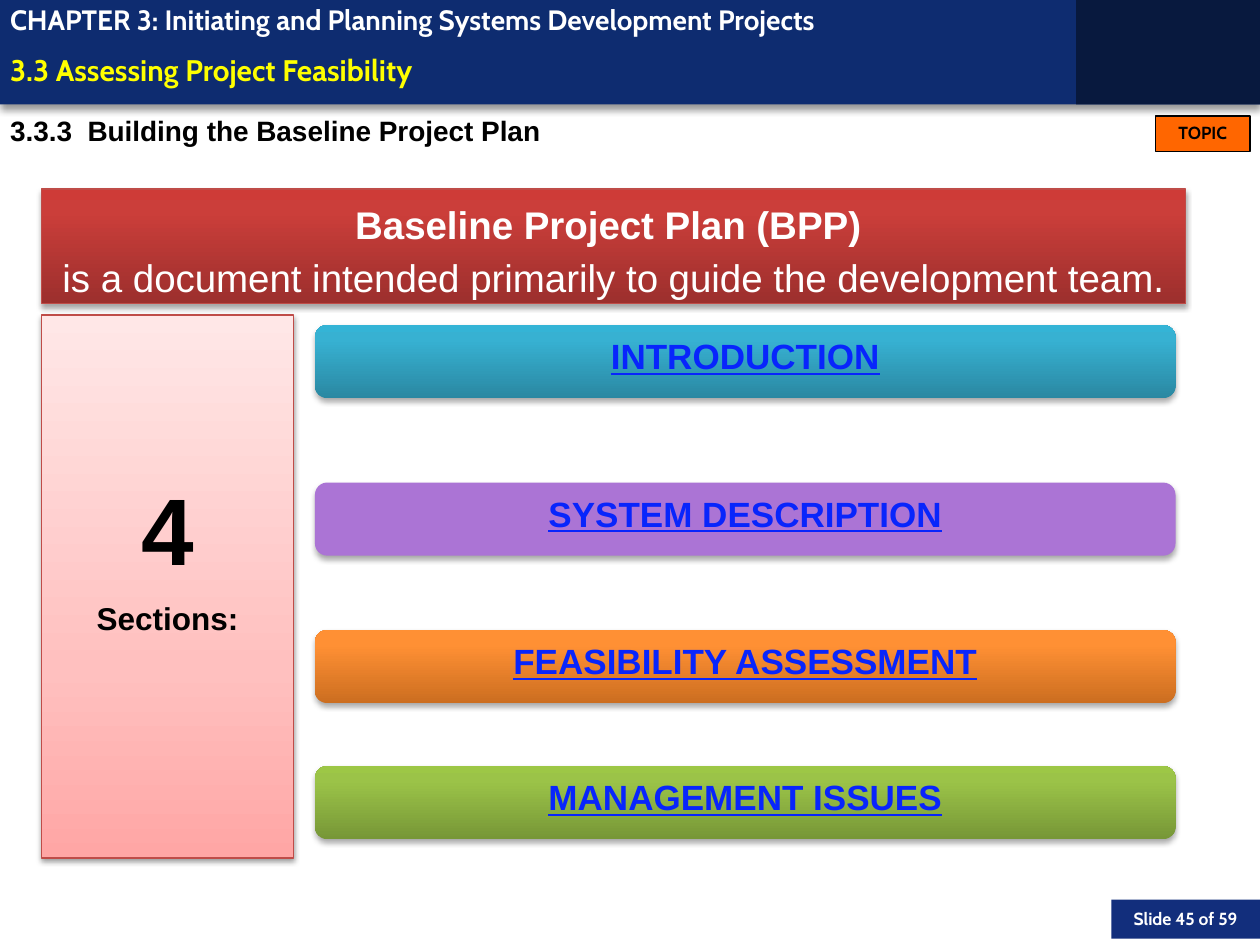
from lxml import etree
from pptx import Presentation, util as u
from pptx.dml.color import RGBColor
from pptx.enum import shapes, text
from pptx.oxml.ns import qn

THEME = dict(
    head="Cabin", body="Arial", navy="0E2C70", dark="08193E", foot="122E7C",
    white="FFFFFF", black="000000", gold="FFFF00", tag="FF6600",
    edge="BF4C48", link="0825FC",
    red=((0, "9C2F2D"), (80, "CB3E3A"), (100, "CE3B37")),
    pink=((0, "FFA6A5"), (35, "FFC0BF"), (100, "FFE7E7")),
    blue=((0, "2A88A2"), (80, "37B1D2"), (100, "34B4D6")),
    plum="AB74D5",
    rust=((0, "CC6E20"), (80, "FF9034"), (100, "FF9136")),
    green=((0, "779737"), (80, "9BC348"), (100, "9DC746")),
    tiny=10, small=16, title=17, label=18, bar=20, lead=22, huge=54,
)
CHAPTER = "CHAPTER 3: Initiating and Planning Systems Development Projects"
TITLE = "3.3 Assessing Project Feasibility"
TOPIC = "3.3.3  Building the Baseline Project Plan"
PLAN = ("Baseline Project Plan (BPP) ",
        "is a document intended primarily to guide the development team.")
COUNT = ("4", "Sections:")
PARTS = [
    ("INTRODUCTION", "blue", 2.58),
    ("SYSTEM DESCRIPTION", "plum", 3.83),
    ("FEASIBILITY ASSESSMENT", "rust", 5),
    ("MANAGEMENT ISSUES", "green", 6.08),
]
SOFT = (35, 3.1, 1.8)
BOX = shapes.MSO_SHAPE.RECTANGLE
ROUND = shapes.MSO_SHAPE.ROUNDED_RECTANGLE
LEFT, MID, RIGHT = text.PP_ALIGN.LEFT, text.PP_ALIGN.CENTER, text.PP_ALIGN.RIGHT
TOP, HALF = text.MSO_ANCHOR.TOP, text.MSO_ANCHOR.MIDDLE
THIN = (0.08, 0, 0.08, 0)


def color(name):
    return RGBColor.from_string(THEME[name])


def put(shape, words, size, font="body", ink="black", bold=True, line=False,
        align=LEFT, lead=None, anchor=TOP, inset=(0.1, 0.05, 0.1, 0.05)):
    frame = shape.text_frame
    frame.word_wrap = True
    frame.auto_size = text.MSO_AUTO_SIZE.NONE
    frame.vertical_anchor = anchor
    frame.margin_left, frame.margin_top, frame.margin_right, frame.margin_bottom = map(u.Inches, inset)
    para = frame.paragraphs[0] if not frame.text else frame.add_paragraph()
    para.alignment = align
    if lead:
        para.line_spacing = u.Pt(lead)
    run = para.add_run()
    run.text = words
    face = run.font
    face.name, face.size, face.bold, face.underline = THEME[font], u.Pt(THEME[size]), bold, line
    face.color.rgb = color(ink)


def child(node, tag, **attrs):
    return etree.SubElement(node, qn(tag), {k: str(v) for k, v in attrs.items()})


def blend(shape, stops):
    shape.fill.gradient()
    grad = shape._element.spPr.find(qn("a:gradFill"))
    for kid in list(grad):
        grad.remove(kid)
    ramp = child(grad, "a:gsLst")
    for place, tone in stops:
        child(child(ramp, "a:gs", pos=place * 1000), "a:srgbClr", val=tone)
    child(grad, "a:lin", ang=270 * 60000, scaled=0)


def shade(shape, alpha, blur, dist):
    glow = child(shape._element.spPr.find(qn("a:effectLst")), "a:outerShdw",
                 blurRad=u.Pt(blur), dist=u.Pt(dist), dir=90 * 60000, rotWithShape=0)
    child(child(glow, "a:srgbClr", val=THEME["black"]), "a:alpha", val=alpha * 1000)


def block(slide, at, fill, kind=BOX, edge=None, shadow=None):
    shape = slide.shapes.add_shape(kind, *map(u.Inches, at))
    shape.shadow.inherit = False
    if isinstance(THEME[fill], str):
        shape.fill.solid()
        shape.fill.fore_color.rgb = color(fill)
    else:
        blend(shape, THEME[fill])
    if edge:
        shape.line.color.rgb = color(edge)
        shape.line.width = u.Pt(0.75)
    else:
        shape.line.fill.background()
    if shadow:
        shade(shape, *shadow)
    return shape


def label(slide, at, words, size, **form):
    put(slide.shapes.add_textbox(*map(u.Inches, at)), words, size, **form)


def frame(slide):
    block(slide, (0, 0, 10, 0.83), "navy", shadow=(40, 4, 3))
    block(slide, (8.54, 0, 1.46, 0.83), "dark")
    block(slide, (8.82, 7.14, 1.18, 0.31), "foot")
    label(slide, (8.62, 7.14, 1.3, 0.25), "Slide 45 of 59", "tiny", font="head",
          ink="white", align=RIGHT, anchor=HALF, inset=(0.1, 0.05, 0.1, 0))
    tag = block(slide, (9.17, 0.92, 0.75, 0.28), "tag", edge="black")
    put(tag, "TOPIC", "tiny", font="head", align=MID)
    label(slide, (0, 0.02, 8.46, 0.27), CHAPTER, "small", font="head",
          ink="white", inset=THIN)
    title = slide.shapes.title
    title.left, title.top, title.width, title.height = map(u.Inches, (0, 0.29, 8.46, 0.55))
    put(title, TITLE, "title", font="head", ink="gold", lead=18, anchor=HALF, inset=THIN)
    slide.shapes._spTree.append(title._element)


def main():
    deck = Presentation()
    deck.slide_width, deck.slide_height = u.Inches(10), u.Inches(7.5)
    slide = deck.slides.add_slide(deck.slide_layouts[5])
    frame(slide)
    plan = block(slide, (0.33, 1.5, 9.08, 0.91), "red", edge="edge", shadow=SOFT)
    for words, bold in zip(PLAN, (True, False)):
        put(plan, words, "lead", ink="white", bold=bold, align=MID, lead=30)
    label(slide, (0, 0.92, 10, 0.35), TOPIC, "small", lead=18, inset=THIN)
    count = block(slide, (0.33, 2.5, 2, 4.31), "pink", edge="edge", shadow=(38, 3.1, 1.6))
    for words, size in zip(COUNT, ("huge", "label")):
        put(count, words, size, align=MID, lead=30, inset=(0.1, 1.72, 0.1, 0.05))
    for words, fill, top in PARTS:
        bar = block(slide, (2.5, top, 6.83, 0.58), fill, kind=ROUND, shadow=SOFT)
        put(bar, words, "bar", ink="link", line=True, align=MID)
    deck.save("out.pptx")


if __name__ == "__main__":
    main()
